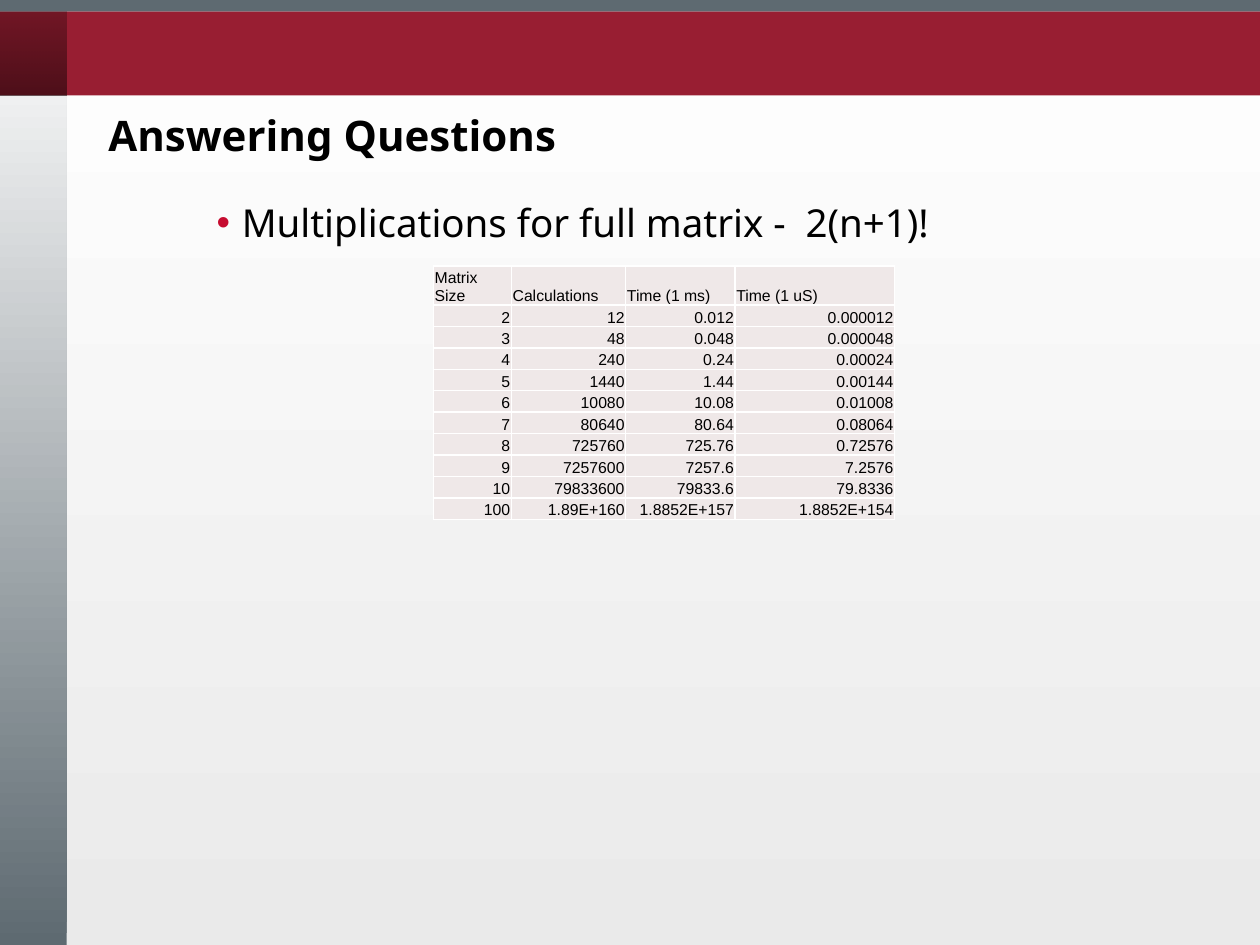
from collections import namedtuple
from math import factorial

from lxml.etree import SubElement
from pptx import Presentation
from pptx.dml.color import RGBColor
from pptx.enum.shapes import MSO_SHAPE
from pptx.enum.text import MSO_ANCHOR, MSO_AUTO_SIZE, PP_ALIGN
from pptx.oxml.ns import qn
from pptx.util import Emu, Inches, Pt

Box = namedtuple("Box", "left top width height")

BLACK = RGBColor(0x00, 0x00, 0x00)
WHITE = RGBColor(0xFF, 0xFF, 0xFF)
MIST = RGBColor(0xEA, 0xEA, 0xEA)
SLATE = RGBColor(0x5E, 0x6A, 0x71)
CRIMSON = RGBColor(0x98, 0x1E, 0x32)
BULLET_RED = RGBColor(0xC6, 0x0C, 0x30)
CELL_TINT = RGBColor(0xEF, 0xE8, 0xE8)

HEADINGS = ["Matrix Size", "Calculations", "Time (1 ms)", "Time (1 uS)"]
COLUMN_SHARES = [16.9, 24.8, 23.7, 34.6]
LARGEST_ROW = ["100", "1.89E+160", "1.8852E+157", "1.8852E+154"]

FRAME_FORMAT = {
    "word_wrap": True,
    "auto_size": MSO_AUTO_SIZE.SHAPE_TO_FIT_TEXT,
    "margin_left": Inches(0.5),
    "margin_right": Inches(0.5),
    "margin_top": Inches(0.05),
    "margin_bottom": Inches(0.05),
}
CELL_FORMAT = {
    "vertical_anchor": MSO_ANCHOR.BOTTOM,
    "margin_left": Inches(0.01),
    "margin_right": Inches(0.01),
    "margin_top": Inches(0.01),
    "margin_bottom": 0,
}
TITLE_FONT = {"name": "Noto Sans", "size": Pt(24), "bold": True}
BODY_FONT = {"name": "Noto Sans", "size": Pt(22)}
CELL_FONT = {"name": "Arial", "size": Pt(9)}


def apply_format(target, values):
    """Set each named attribute of the target."""
    for name, value in values.items():
        setattr(target, name, value)


def share(box, left, top, width, height):
    """Return the part of a box given in percent of its size."""
    return Box(
        Emu(round(box.left + box.width * left / 100)),
        Emu(round(box.top + box.height * top / 100)),
        Emu(round(box.width * width / 100)),
        Emu(round(box.height * height / 100)),
    )


def paint_gradient(fill, first, last, angle):
    """Fill with a two-colour linear gradient."""
    fill.gradient()
    fill.gradient_angle = angle
    for stop, color, position in zip(fill.gradient_stops, (first, last), (0, 1)):
        stop.color.rgb = color
        stop.position = position


def add_panel(page, box, color=None):
    """Add a plain rectangle without outline and return its fill."""
    panel = page.shapes.add_shape(MSO_SHAPE.RECTANGLE, *box)
    panel.shadow.inherit = False
    panel.line.fill.background()
    if color is not None:
        panel.fill.solid()
        panel.fill.fore_color.rgb = color
    return panel.fill


def add_backdrop(page, box):
    """Draw the page gradient, the side strip and the header bands."""
    paint_gradient(page.background.fill, WHITE, MIST, 270)
    side_fill = add_panel(page, share(box, 0, 0, 5.3, 100))
    paint_gradient(side_fill, SLATE, WHITE, 90)
    add_panel(page, share(box, 0, 1.2, 100, 8.9), CRIMSON)
    corner_fill = add_panel(page, share(box, -0.2, 1.2, 5.5, 8.9))
    paint_gradient(corner_fill, BLACK, BLACK, 90)
    colors = corner_fill._xPr.iter(qn("a:srgbClr"))
    for color, opacity in zip(colors, (50, 25)):
        SubElement(color, qn("a:alpha"), val=str(opacity * 1000))
    add_panel(page, share(box, -0.2, 0, 100.2, 1.2), SLATE)


def write_text(para, text, font):
    """Write one formatted black span into a paragraph."""
    span = para.add_run()
    span.text = text
    apply_format(span.font, font)
    span.font.color.rgb = BLACK


def add_text(page, box, text, font, anchor):
    """Add a text box with one paragraph and return the paragraph."""
    frame = page.shapes.add_textbox(*box).text_frame
    apply_format(frame, FRAME_FORMAT)
    frame.vertical_anchor = anchor
    para = frame.paragraphs[0]
    write_text(para, text, font)
    return para


def add_title(page, box):
    """Add the page title."""
    para = add_text(page, box, "Answering Questions", TITLE_FONT, MSO_ANCHOR.BOTTOM)
    para.line_spacing = 0.9


def add_body(page, box):
    """Add the bulleted statement."""
    text = "Multiplications for full matrix -  2(n+1)!"
    para = add_text(page, box, text, BODY_FONT, MSO_ANCHOR.TOP)
    properties = para._p.get_or_add_pPr()
    properties.set("marL", str(Inches(0.38)))
    properties.set("indent", str(Inches(-0.2)))
    bullet_color = SubElement(properties, qn("a:buClr"))
    SubElement(bullet_color, qn("a:srgbClr"), val=str(BULLET_RED))
    SubElement(properties, qn("a:buFont"), typeface="Arial")
    SubElement(properties, qn("a:buChar"), char="•")


def decimal_text(number):
    """Write a number without trailing zeros."""
    return f"{number:.6f}".rstrip("0").rstrip(".")


def timing_rows():
    """Return the headings and the timings for each matrix size."""
    rows = [HEADINGS]
    for size in range(2, 11):
        count = 2 * factorial(size + 1)
        times = [decimal_text(count / rate) for rate in (10**3, 10**6)]
        rows.append([str(size), str(count), *times])
    return rows + [LARGEST_ROW]


def style_cell(cell):
    """Give a cell its tint and thin white borders."""
    apply_format(cell, CELL_FORMAT)
    properties = cell._tc.get_or_add_tcPr()
    for side in ("lnL", "lnR", "lnT", "lnB"):
        border = SubElement(properties, qn(f"a:{side}"), w=str(Pt(1)))
        border_fill = SubElement(border, qn("a:solidFill"))
        SubElement(border_fill, qn("a:srgbClr"), val=str(WHITE))
    cell.fill.solid()
    cell.fill.fore_color.rgb = CELL_TINT


def add_timing_table(page, box):
    """Add the table of calculations and times."""
    rows = timing_rows()
    table = page.shapes.add_table(len(rows), len(HEADINGS), *box).table
    for column, width in zip(table.columns, COLUMN_SHARES):
        column.width = Emu(round(box.width * width / 100))
    for row_index, values in enumerate(rows):
        for column_index, value in enumerate(values):
            cell = table.cell(row_index, column_index)
            style_cell(cell)
            para = cell.text_frame.paragraphs[0]
            para.alignment = PP_ALIGN.RIGHT if row_index else PP_ALIGN.LEFT
            write_text(para, value, CELL_FONT)


def main():
    """Build and save the deck."""
    deck = Presentation()
    deck.slide_width, deck.slide_height = Inches(10), Inches(7.5)
    page = deck.slides.add_slide(deck.slide_layouts[6])
    area = Box(0, 0, deck.slide_width, deck.slide_height)
    add_backdrop(page, area)
    add_title(page, share(area, 3.6, 11.47, 94.6, 6.13))
    add_body(page, share(area, 10.4, 20.4, 85, 6.27))
    add_timing_table(page, share(area, 34.4, 28.13, 36.6, 25))
    deck.save("out.pptx")


if __name__ == "__main__":
    main()
